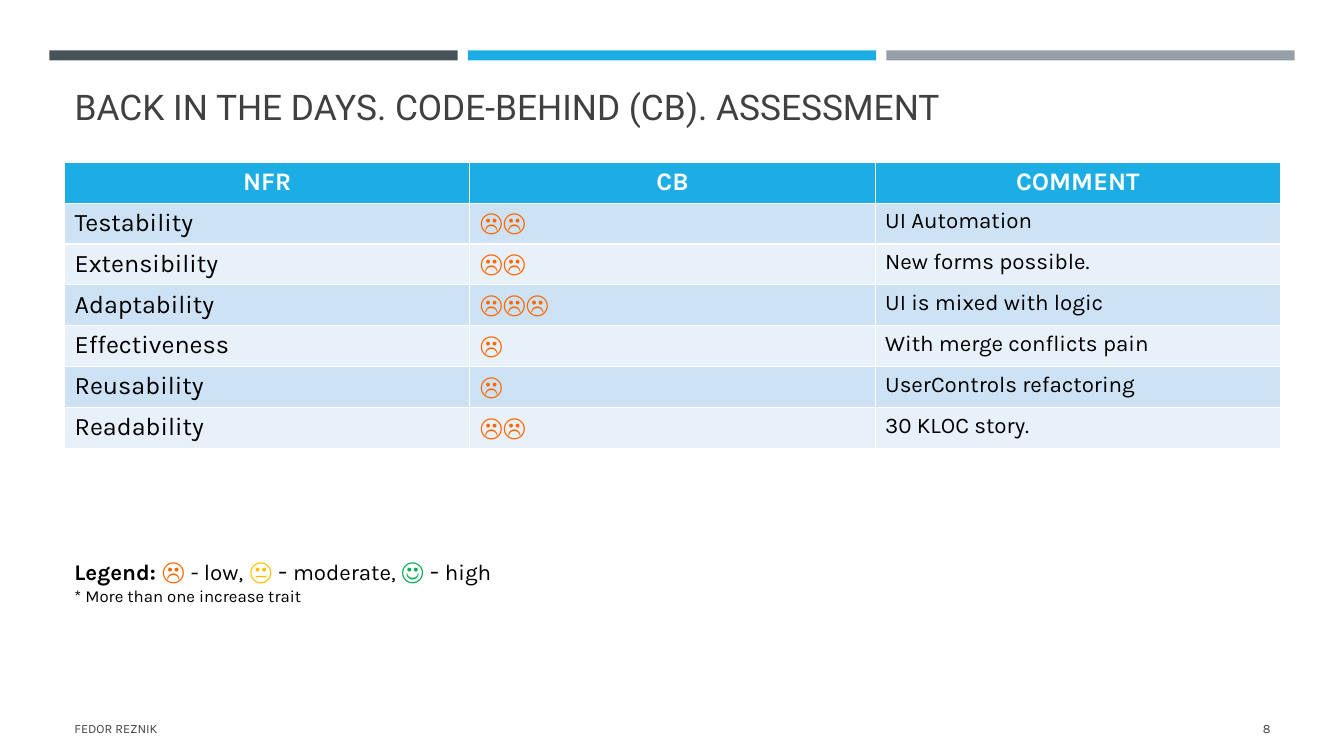
from pptx import Presentation
from pptx.dml.color import RGBColor
from pptx.enum.shapes import MSO_SHAPE
from pptx.enum.text import MSO_ANCHOR, MSO_AUTO_SIZE, PP_ALIGN
from pptx.util import Pt

EMU_PER_PX = 9144
ACCENT, INK, BLACK, WHITE = "1CADE4", "404040", "000000", "FFFFFF"
LOW, MODERATE, HIGH = "FF6600", "FFC000", "00B050"
BANDS = ("CDE3F5", "E8F1FA")


def px(*lengths):
    return [length * EMU_PER_PX for length in lengths]


def color(value):
    return RGBColor.from_string(value)


class Deck:
    heading_font = "Roboto"
    body_font = "Karla"

    def __init__(self, width, height):
        self.presentation = Presentation()
        self.presentation.slide_width, self.presentation.slide_height = px(width, height)
        self.slide = self.presentation.slides.add_slide(self.presentation.slide_layouts[5])

    def style(self, run, size, ink, bold=False, font=None):
        run.font.name = font or self.body_font
        run.font.size = Pt(size)
        run.font.bold = bold
        run.font.color.rgb = color(ink)

    def title(self, wording, box):
        heading = self.slide.shapes.title
        heading.left, heading.top, heading.width, heading.height = px(*box)
        frame = heading.text_frame
        frame.text = wording
        frame.auto_size = MSO_AUTO_SIZE.NONE
        frame.vertical_anchor = MSO_ANCHOR.BOTTOM
        frame.paragraphs[0].alignment = PP_ALIGN.LEFT
        self.style(frame.paragraphs[0].runs[0], 25.2, INK, font=self.heading_font)

    def bar(self, box, fill):
        stripe = self.slide.shapes.add_shape(MSO_SHAPE.RECTANGLE, *px(*box))
        stripe.shadow.inherit = False
        stripe.fill.solid()
        stripe.fill.fore_color.rgb = color(fill)
        stripe.line.fill.background()

    def text(self, box, lines, align=PP_ALIGN.LEFT, anchor=MSO_ANCHOR.TOP):
        frame = self.slide.shapes.add_textbox(*px(*box)).text_frame
        frame.word_wrap = True
        frame.vertical_anchor = anchor
        for index, line in enumerate(lines):
            paragraph = frame.add_paragraph() if index else frame.paragraphs[0]
            paragraph.alignment = align
            for wording, *look in line:
                run = paragraph.add_run()
                run.text = wording
                self.style(run, *look)

    def cell(self, cell, wording, fill, size, ink, bold=False,
             align=PP_ALIGN.LEFT, anchor=MSO_ANCHOR.TOP):
        cell.fill.solid()
        cell.fill.fore_color.rgb = color(fill)
        cell.vertical_anchor = anchor
        cell.text_frame.text = wording
        paragraph = cell.text_frame.paragraphs[0]
        paragraph.alignment = align
        self.style(paragraph.runs[0], size, ink, bold)

    def assessment(self, box, header, ratings):
        grid = self.slide.shapes.add_table(len(ratings) + 1, len(header), *px(*box)).table
        for column, wording in enumerate(header):
            self.cell(grid.cell(0, column), wording, ACCENT, 18, WHITE, True, PP_ALIGN.CENTER)
        for row, (trait, score, comment) in enumerate(ratings, 1):
            band = BANDS[(row - 1) % 2]
            self.cell(grid.cell(row, 0), trait, band, 18, BLACK)
            self.cell(grid.cell(row, 1), "☹" * score, band, 18, LOW, anchor=MSO_ANCHOR.MIDDLE)
            self.cell(grid.cell(row, 2), comment, band, 16, BLACK)


def main():
    deck = Deck(1333, 750)
    for index, fill in enumerate(("465359", ACCENT, "969FA7")):
        deck.bar((49 + 415 * index, 50, 405, 10), fill)
    deck.title("BACK IN THE DAYS. CODE-BEHIND (CB). ASSESSMENT", (64, 77, 1206, 55))
    deck.assessment((64, 161, 1206, 284), ("NFR", "CB", "COMMENT"), [
        ("Testability", 2, "UI Automation"),
        ("Extensibility", 2, "New forms possible."),
        ("Adaptability", 3, "UI is mixed with logic"),
        ("Effectiveness", 1, "With merge conflicts pain"),
        ("Reusability", 1, "UserControls refactoring"),
        ("Readability", 2, "30 KLOC story."),
    ])
    deck.text((64, 703, 756, 40), [[("FEDOR REZNIK", 9, INK)]], anchor=MSO_ANCHOR.MIDDLE)
    deck.text((1155, 703, 115, 40), [[("8", 9, INK)]], PP_ALIGN.RIGHT, MSO_ANCHOR.MIDDLE)
    deck.text((64, 546, 1206, 61), [
        [
            ("Legend:", 16, BLACK, True), (" ", 18, BLACK),
            ("☹ ", 18, LOW), ("- low,", 16, BLACK), (" ", 18, BLACK),
            ("😐", 18, MODERATE), (" - ", 18, BLACK), ("moderate, ", 16, BLACK),
            ("☺", 18, HIGH), (" - ", 18, BLACK), ("high", 16, BLACK),
        ],
        [("* More than one increase trait", 12, BLACK)],
    ])
    deck.presentation.save("out.pptx")


if __name__ == "__main__":
    main()
